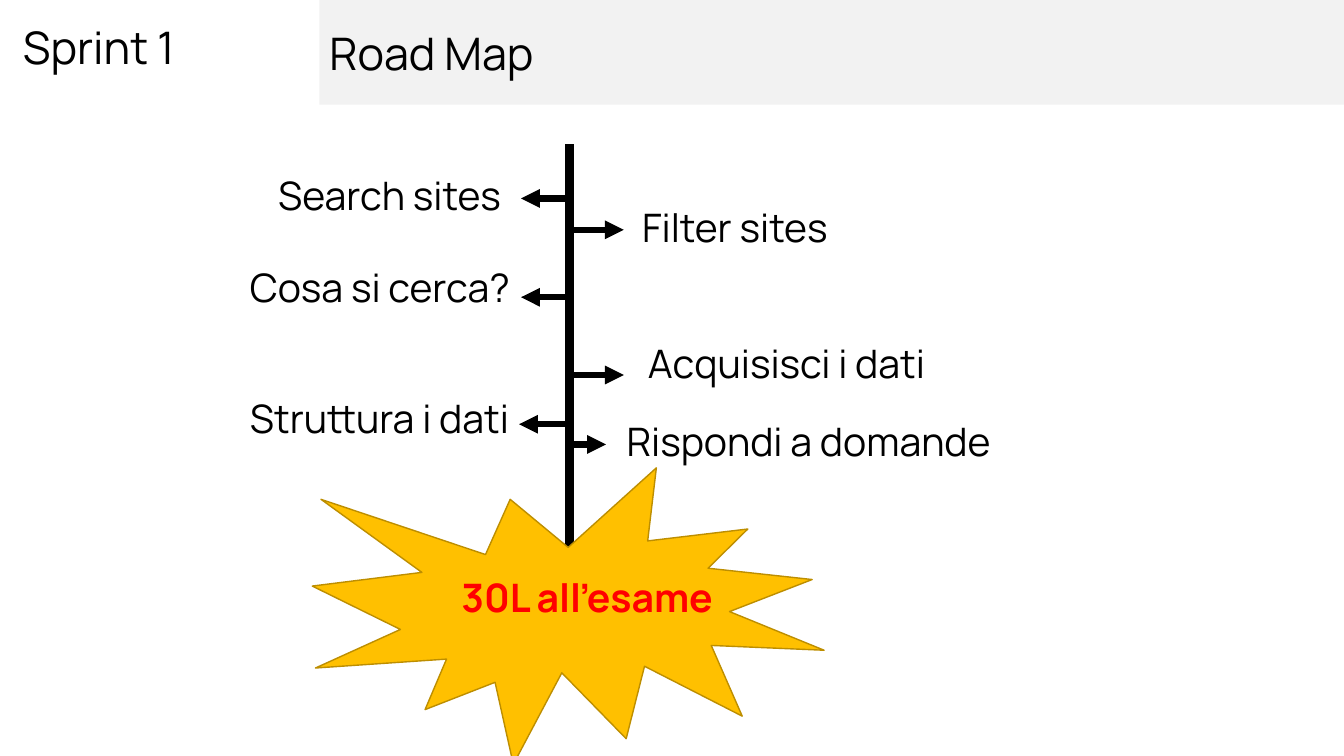
"""Build the Sprint 1 road map slide."""
import pptx
import pptx.util
import pptx.dml.color
import pptx.enum.shapes
import pptx.enum.text
import pptx.oxml.ns
import lxml.etree

Cm = pptx.util.Cm
Pt = pptx.util.Pt
RGBColor = pptx.dml.color.RGBColor
Kind = pptx.enum.shapes.MSO_SHAPE
Align = pptx.enum.text.PP_ALIGN
Anchor = pptx.enum.text.MSO_ANCHOR
qn = pptx.oxml.ns.qn

BLACK = RGBColor(0, 0, 0)
RED = RGBColor(0xFF, 0, 0)
GREY = RGBColor(0xF2, 0xF2, 0xF2)
GOLD = RGBColor(0xFF, 0xC0, 0)
OCHRE = RGBColor(0xBD, 0x8E, 0)
FONT = "Manrope"

# Label, arrow height, arrow tip, text left, text top, text width
STEPS = [
    ("Search sites", 1.37, -1.22, -7.59, 0.56, 6.5),
    ("Filter sites", 2.16, 1.37, 1.58, 1.37, 6.5),
    ("Cosa si cerca?", 3.86, -1.22, -8.3, 2.87, 8.36),
    ("Acquisisci i dati", 5.82, 1.37, 1.73, 4.8, 7.9),
    ("Struttura i dati", 7.06, -1.27, -8.3, 6.17, 7.77),
    ("Rispondi a domande", 7.57, 0.92, 1.19, 6.76, 11.3),
]


def write(shape, text, size, color=BLACK, bold=False):
    """Fill a shape with one styled, left-aligned line of text."""
    frame = shape.text_frame
    frame.text = text
    frame.word_wrap = True
    para = frame.paragraphs[0]
    para.alignment = Align.LEFT
    font = para.runs[0].font
    font.name, font.size, font.bold = FONT, Pt(size), bold
    font.color.rgb = color


def label(slide, box, text, size=28, color=BLACK, bold=False):
    """Add a text box."""
    shape = slide.shapes.add_textbox(*map(Cm, box))
    write(shape, text, size, color, bold)


def block(slide, kind, box, fill):
    """Add a flat filled shape without outline."""
    shape = slide.shapes.add_shape(kind, *map(Cm, box))
    shape.shadow.inherit = False
    shape.fill.solid()
    shape.fill.fore_color.rgb = fill
    shape.line.fill.background()
    return shape


def stroke(slide, ends, width, arrow=False):
    """Draw a straight black line, with an arrowhead if asked."""
    line = slide.shapes.add_connector(
        pptx.enum.shapes.MSO_CONNECTOR.STRAIGHT, *map(Cm, ends))
    line.line.width = Pt(width)
    line.line.color.rgb = BLACK
    if arrow:
        head = lxml.etree.SubElement(line.line._get_or_add_ln(), qn("a:tailEnd"))
        head.set("type", "triangle")
    lxml.etree.SubElement(line._element.spPr, qn("a:effectLst"))


def header(slide, left, top, width, height):
    """Place the sprint name and the title bar."""
    inset = 8.05
    bar = block(slide, Kind.RECTANGLE,
                (left + inset, top, width - inset, height), GREY)
    bar.text_frame.vertical_anchor = Anchor.MIDDLE
    write(bar, "Road Map", 32)
    label(slide, (left + 0.33, top + 0.38, 7.62, 1.65), "Sprint 1", 32)


def road(slide, left, top, width, height):
    """Draw the trunk at the centre of its box and the steps beside it."""
    mid = left + width / 2
    stroke(slide, (mid, top, mid, top + height), 6)
    for text, level, tip, start, rise, span in STEPS:
        stroke(slide, (mid, top + level, mid + tip, top + level), 4.5, True)
        label(slide, (mid + start, top + rise, span, 1.45), text)


def goal(slide, left, top, width, height):
    """Place the burst with the final goal."""
    burst = block(slide, Kind.EXPLOSION1, (left, top, width, height), GOLD)
    burst.line.color.rgb = OCHRE
    burst.line.width = Pt(1)
    label(slide, (left + 3.51, top + 2.54, 7.77, 1.45),
          "30L all\u2019esame", color=RED, bold=True)


deck = pptx.Presentation()
deck.slide_width, deck.slide_height = Cm(33.87), Cm(19.05)
page = deck.slides.add_slide(deck.slide_layouts[6])
road(page, 6.05, 3.63, 16.6, 11.64)
goal(page, 7.87, 11.79, 12.9, 7.47)
header(page, 0, 0, 33.87, 2.64)
deck.save("out.pptx")
